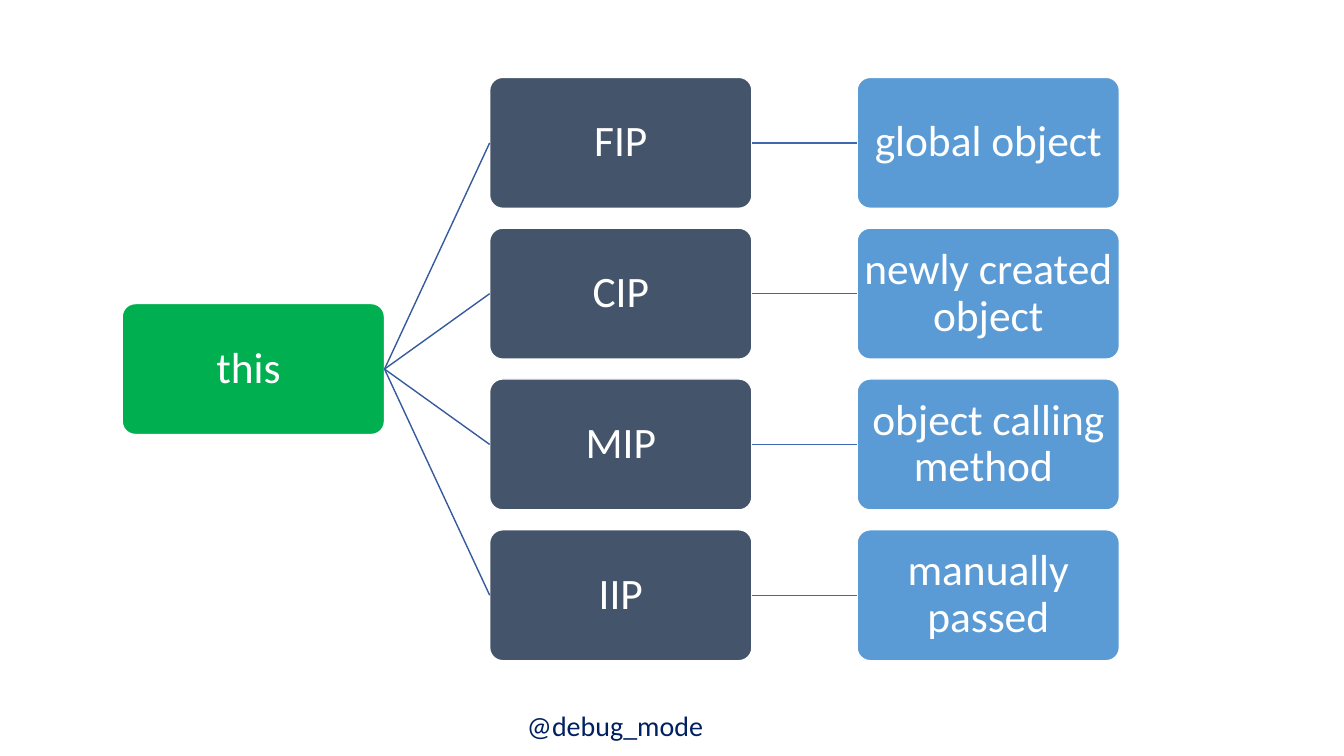
from pptx import Presentation
from pptx import util as u
from pptx.dml.color import RGBColor
from pptx.enum import shapes, text
from pptx.oxml.ns import qn
from lxml import etree

COLORS = {
    "root": "00B050",
    "pattern": "44546A",
    "result": "5B9BD5",
    "branch": "365B9D",
    "link": "3E67B2",
    "white": "FFFFFF",
    "handle": "002060",
}
NODE_WIDTH, NODE_HEIGHT = 6.61, 3.3
COLUMN_STEP, ROW_STEP = 9.26, 3.8
BINDINGS = [
    ("FIP", "global object"),
    ("CIP", "newly created object"),
    ("MIP", "object calling method "),
    ("IIP", "manually passed"),
]


def color(name):
    return RGBColor.from_string(COLORS[name])


def add_node(slide, left, top, label, fill):
    node = slide.shapes.add_shape(
        shapes.MSO_SHAPE.ROUNDED_RECTANGLE,
        u.Cm(left), u.Cm(top), u.Cm(NODE_WIDTH), u.Cm(NODE_HEIGHT))
    node.adjustments[0] = 0.1
    node.shadow.inherit = False
    node.fill.solid()
    node.fill.fore_color.rgb = color(fill)
    node.line.color.rgb = color("white")
    node.line.width = u.Pt(1)
    frame = node.text_frame
    frame.word_wrap = True
    frame.vertical_anchor = text.MSO_ANCHOR.MIDDLE
    frame.margin_left = frame.margin_right = u.Cm(0.05)
    frame.margin_top = frame.margin_bottom = u.Cm(0.05)
    para = frame.paragraphs[0]
    para.text = label
    para.alignment = text.PP_ALIGN.CENTER
    para.line_spacing = 0.9
    para.font.name = "Calibri"
    para.font.size = u.Pt(31)
    para.font.color.rgb = color("white")
    return node


def join(slide, start, end, stroke):
    line = slide.shapes.add_connector(shapes.MSO_CONNECTOR.STRAIGHT, 0, 0, 0, 0)
    line.begin_connect(start, 3)
    line.end_connect(end, 1)
    line.line.color.rgb = color(stroke)
    line.line.width = u.Pt(1)
    etree.SubElement(line._element.spPr, qn("a:effectLst"))


def add_tree(slide, left, top):
    root_top = top + (len(BINDINGS) - 1) * ROW_STEP / 2
    root = add_node(slide, left, root_top, "this ", "root")
    for row, (pattern, result) in enumerate(BINDINGS):
        row_top = top + row * ROW_STEP
        pattern_node = add_node(slide, left + COLUMN_STEP, row_top, pattern, "pattern")
        result_node = add_node(slide, left + 2 * COLUMN_STEP, row_top, result, "result")
        join(slide, root, pattern_node, "branch")
        join(slide, pattern_node, result_node, "link")


def add_handle(slide, left, top, width, height):
    box = slide.shapes.add_textbox(u.Cm(left), u.Cm(top), u.Cm(width), u.Cm(height))
    box.text_frame.word_wrap = True
    para = box.text_frame.paragraphs[0]
    para.text = "@debug_mode"
    para.font.name = "Calibri"
    para.font.size = u.Pt(20)
    para.font.color.rgb = color("handle")


def main():
    deck = Presentation()
    deck.slide_width, deck.slide_height = u.Cm(33.87), u.Cm(19.05)
    slide = deck.slides.add_slide(deck.slide_layouts[6])
    add_handle(slide, 13.03, 17.73, 9.91, 1.12)
    add_tree(slide, 3.08, 1.95)
    deck.save("out.pptx")


if __name__ == "__main__":
    main()
